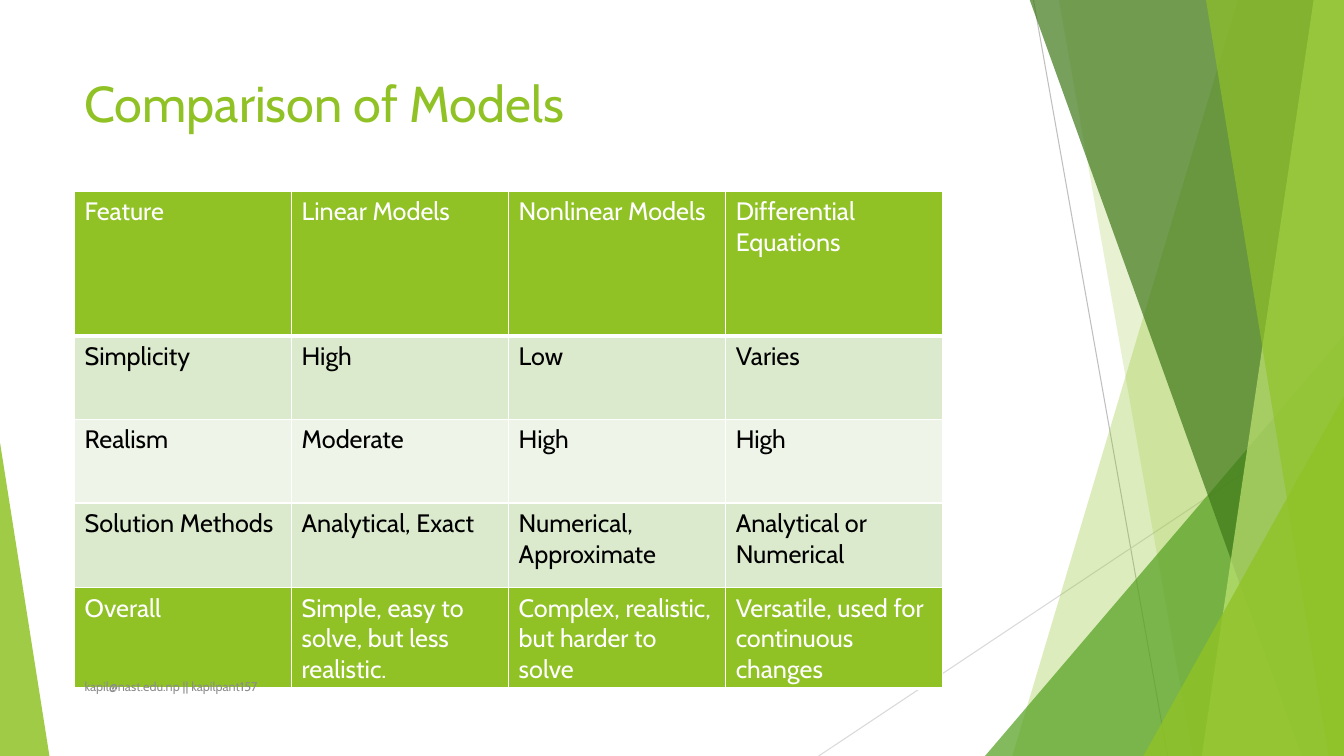
import pptx
import pptx.util
from lxml import etree
from pptx.dml.color import RGBColor
from pptx.enum.shapes import MSO_CONNECTOR, MSO_SHAPE
from pptx.enum.text import MSO_ANCHOR
from pptx.oxml.ns import qn
from pptx.util import Inches, Pt

FONT = "Cabin"
WIDTH, HEIGHT = 13.33, 7.5
BAND_TOP = -0.01

GREEN = RGBColor(0x90, 0xC2, 0x26)
MID_GREEN = RGBColor(0x54, 0xA0, 0x21)
DARK_GREEN = RGBColor(0x3F, 0x78, 0x19)
LIGHT_GREEN = RGBColor(0xC0, 0xE4, 0x74)
ROW_TINT = RGBColor(0xDB, 0xE9, 0xCD)
ROW_PALE = RGBColor(0xEE, 0xF4, 0xE8)
WHITE = RGBColor(0xFF, 0xFF, 0xFF)
BLACK = RGBColor(0, 0, 0)
FOOTER_GRAY = RGBColor(0x8C, 0x8C, 0x8C)
LINE_GRAY = RGBColor(0xBF, 0xBF, 0xBF)
LINE_PALE = RGBColor(0xD9, 0xD9, 0xD9)

TITLE = "Comparison of Models"
FOOTER = "kapil@nast.edu.np || kapilpant157"
COMPARISON = [
    ("Feature", "Linear Models", "Nonlinear Models", "Differential Equations"),
    ("Simplicity", "High", "Low", "Varies"),
    ("Realism", "Moderate", "High", "High"),
    ("Solution Methods", "Analytical, Exact", "Numerical, Approximate", "Analytical or Numerical"),
]
OVERALL = [
    ("Overall", "Simple, easy to solve, but less realistic.",
     "Complex, realistic, but harder to solve", "Versatile, used for continuous changes"),
]
HEADER_STYLE = (GREEN, WHITE, 3)
TINT_STYLE = (ROW_TINT, BLACK, 1)
PALE_STYLE = (ROW_PALE, BLACK, 1)

# start x, start y, end x, end y, color
LINES = [(10.25, 0, 11.58, HEIGHT, LINE_GRAY), (WIDTH, 4.03, 8.12, HEIGHT, LINE_PALE)]

# Back to front. Band: top-left x, bottom-left x; it reaches the right edge.
# Triangle: left, top, width, apex position; it stands on the bottom edge.
FACETS = [
    ("band", (12.28, 10.04), GREEN, 30),
    ("band", (10.5, 11.83), GREEN, 20),
    ("triangle", (9.77, 3.33, 3.56, 1), MID_GREEN, 72),
    ("band", (10.21, 12.91), DARK_GREEN, 70),
    ("band", (13.03, 11.92), LIGHT_GREEN, 70),
    ("band", (11.96, 13.18), GREEN, 65),
    ("triangle", (11.34, 3.93, 1.99, 1), GREEN, 80),
    ("triangle", (0, 4.39, 0.49, 0), GREEN, 85),
]


def add_line(slide, x1, y1, x2, y2, color):
    line = slide.shapes.add_connector(
        MSO_CONNECTOR.STRAIGHT, Inches(x1), Inches(y1), Inches(x2), Inches(y2))
    line.line.color.rgb = color
    line.line.width = Pt(0.75)
    etree.SubElement(line._element.spPr, qn("a:effectLst"))


def add_band(slide, top_x, bottom_x):
    corners = [(WIDTH, BAND_TOP), (WIDTH, HEIGHT), (bottom_x, HEIGHT)]
    builder = slide.shapes.build_freeform(Inches(top_x), Inches(BAND_TOP))
    builder.add_line_segments([(Inches(x), Inches(y)) for x, y in corners], close=True)
    return builder.convert_to_shape()


def add_triangle(slide, left, top, width, apex):
    shape = slide.shapes.add_shape(
        MSO_SHAPE.ISOSCELES_TRIANGLE,
        Inches(left), Inches(top), Inches(width), Inches(HEIGHT - top))
    shape.adjustments[0] = apex
    return shape


def fill_translucent(shape, color, opacity):
    shape.shadow.inherit = False
    shape.line.fill.background()
    shape.fill.solid()
    shape.fill.fore_color.rgb = color
    color_element = shape._element.spPr.find(qn("a:solidFill")).find(qn("a:srgbClr"))
    etree.SubElement(color_element, qn("a:alpha"), val=str(opacity * 1000))


def style_text(text_frame, size, color):
    font = text_frame.paragraphs[0].runs[0].font
    font.name, font.size, font.bold = FONT, Pt(size), False
    font.color.rgb = color


def add_text(slide, text, box, size, color, anchor):
    text_frame = slide.shapes.add_textbox(*map(Inches, box)).text_frame
    text_frame.word_wrap = True
    text_frame.vertical_anchor = anchor
    text_frame.text = text
    style_text(text_frame, size, color)


def add_borders(cell, bottom_width):
    properties = cell._tc.get_or_add_tcPr()
    for tag, width in (("lnL", 1), ("lnR", 1), ("lnT", 1), ("lnB", bottom_width)):
        border = etree.SubElement(properties, qn("a:" + tag), w=str(Pt(width)))
        fill = etree.SubElement(border, qn("a:solidFill"))
        etree.SubElement(fill, qn("a:srgbClr"), val=str(WHITE))


def add_model_table(slide, rows, top, heights, styles):
    """Each row style is its fill, text color and bottom border width."""
    table = slide.shapes.add_table(
        len(rows), len(rows[0]), Inches(0.74), Inches(top),
        Inches(8.61), Inches(sum(heights))).table
    table.first_row = table.horz_banding = False
    for row_index, (texts, height, style) in enumerate(zip(rows, heights, styles)):
        fill_color, text_color, bottom_width = style
        table.rows[row_index].height = Inches(height)
        for column_index, text in enumerate(texts):
            cell = table.cell(row_index, column_index)
            add_borders(cell, bottom_width)
            cell.fill.solid()
            cell.fill.fore_color.rgb = fill_color
            cell.text = text
            style_text(cell.text_frame, 18, text_color)


def main():
    presentation = pptx.Presentation()
    presentation.slide_width, presentation.slide_height = Inches(WIDTH), Inches(HEIGHT)
    slide = presentation.slides.add_slide(presentation.slide_layouts[6])

    for line in LINES:
        add_line(slide, *line)
    for kind, geometry, color, opacity in FACETS:
        add_facet = add_band if kind == "band" else add_triangle
        fill_translucent(add_facet(slide, *geometry), color, opacity)

    add_text(slide, TITLE, (0.74, 0.67, 9.4, 1.44), 36, GREEN, MSO_ANCHOR.TOP)
    add_model_table(slide, COMPARISON, 1.9, (1.43, 0.83, 0.83, 1.43),
                    (HEADER_STYLE, TINT_STYLE, PALE_STYLE, TINT_STYLE))
    add_model_table(slide, OVERALL, 5.83, (1,), (HEADER_STYLE,))
    add_text(slide, FOOTER, (0.74, 6.61, 6.89, 0.4), 9, FOOTER_GRAY, MSO_ANCHOR.MIDDLE)

    presentation.save("out.pptx")


if __name__ == "__main__":
    main()
